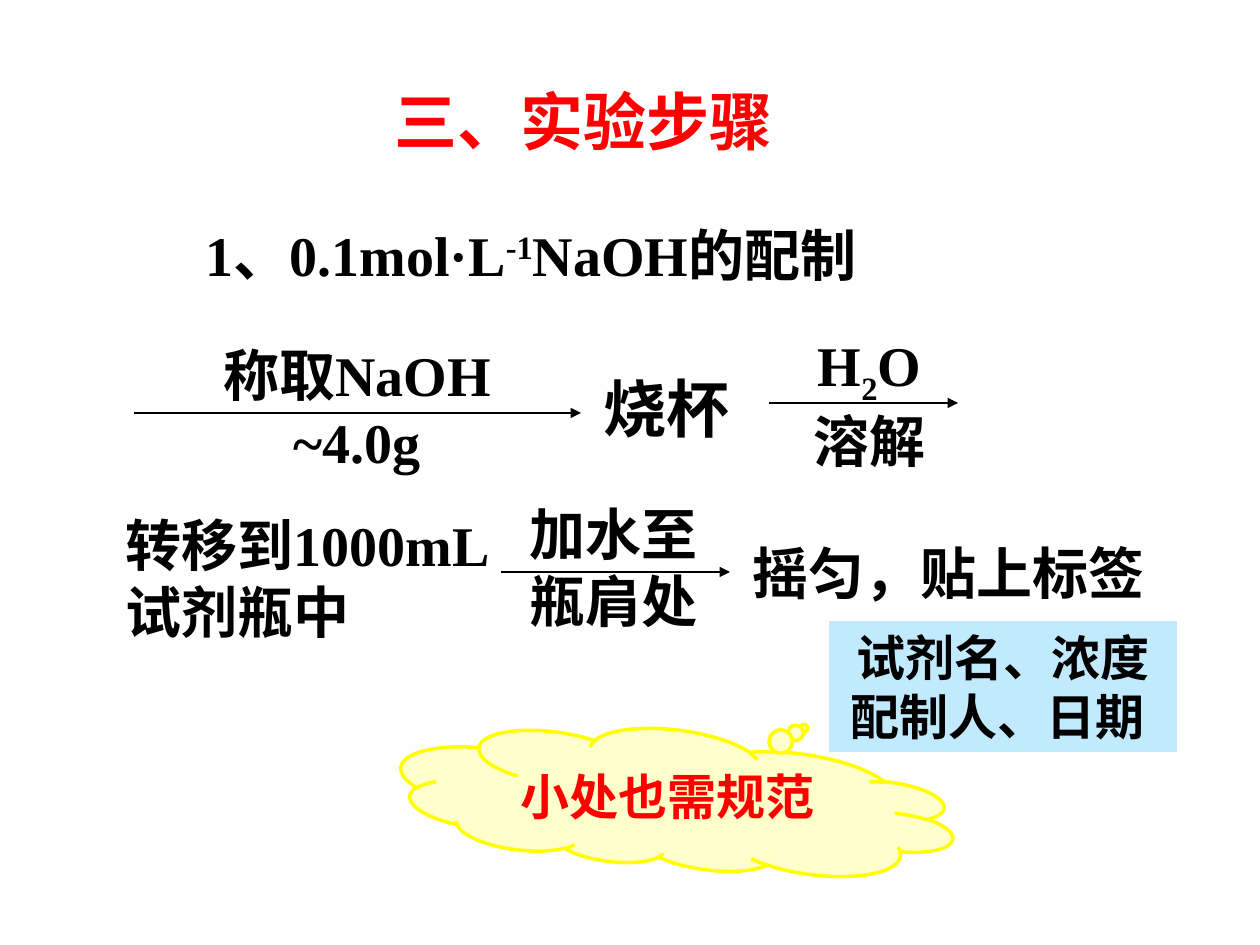
from lxml import etree
from pptx import Presentation
from pptx.dml.color import RGBColor
from pptx.enum.shapes import MSO_CONNECTOR, MSO_SHAPE
from pptx.enum.text import MSO_ANCHOR, PP_ALIGN
from pptx.oxml.ns import qn
from pptx.util import Emu, Pt

LEFT, CENTER = PP_ALIGN.LEFT, PP_ALIGN.CENTER
MIDDLE = MSO_ANCHOR.MIDDLE
RECTANGLE, CLOUD = MSO_SHAPE.RECTANGLE, MSO_SHAPE.CLOUD_CALLOUT
STRAIGHT = MSO_CONNECTOR.STRAIGHT
PX = 914400 / 126

THEME = {
    "black": RGBColor(0, 0, 0),
    "red": RGBColor(255, 0, 0),
    "label": RGBColor(0x66, 0xCC, 0xFF),
    "cloud": RGBColor(0xFF, 0xFF, 0xCC),
    "cloud_line": RGBColor(0xFF, 0xFF, 0),
    "serif": "Times New Roman",
    "sans": "Arial",
    "chinese": "Noto Sans CJK SC",
    "title": 36,
    "body": 32,
    "note": 28,
}


def px(*lengths):
    return [Emu(round(length * PX)) for length in lengths]


def write(shape, lines, size="body", font="serif", color="black", align=LEFT, wrap=True):
    """Each line is a list of (text, baseline shift in percent)."""
    frame = shape.text_frame
    frame.word_wrap = wrap
    for number, line in enumerate(lines):
        para = frame.add_paragraph() if number else frame.paragraphs[0]
        para.alignment = align
        para.font.name = THEME[font]
        para.font.size = Pt(THEME[size])
        para.font.bold = True
        para.font.color.rgb = THEME[color]
        for text, shift in line:
            span = para.add_run()
            span.text = text
            if shift:
                span._r.get_or_add_rPr().set("baseline", str(shift * 1000))


deck = Presentation()
deck.slide_width, deck.slide_height = px(1260, 945)
page = deck.slides.add_slide(deck.slide_layouts[6])
shapes = page.shapes

# Title, heading and the steps of the procedure
title = {"size": "title", "font": "chinese", "color": "red"}
centered = {"align": CENTER}
unwrapped = {"align": CENTER, "wrap": False}
steps = [
    ((382, 76, 446, 88), [[("三、实验步骤", 0)]], title),
    ((193, 214, 784, 81), [[("1、0.1mol·L", 0), ("-1", 30), ("NaOH的配制", 0)]], {}),
    ((152, 334, 410, 147), [[("称取NaOH", 0)], [("~4.0g", 0)]], centered),
    ((591, 363, 159, 88), [[("烧杯", 0)]], {"size": "title"}),
    ((801, 324, 137, 156), [[("H", 0), ("2", -25), ("O", 0)], [("溶解", 0)]], unwrapped),
    ((113, 504, 397, 214), [[("转移到1000mL", 0)], [("试剂瓶中", 0)]], {}),
    ((517, 493, 193, 147), [[("加水至", 0)], [("瓶肩处", 0)]], unwrapped),
    ((740, 532, 437, 81), [[("摇匀，贴上标签", 0)]], {}),
]
for place, lines, style in steps:
    write(shapes.add_textbox(*px(*place)), lines, **style)

# Arrows between the steps
for left, right, y, weight in [(134, 581, 413, 0.75), (769, 958, 403, 1.5), (501, 730, 572, 1.5)]:
    arrow = shapes.add_connector(STRAIGHT, *px(left, y, right, y))
    arrow.line.color.rgb = THEME["black"]
    arrow.line.width = Pt(weight)
    etree.SubElement(arrow.line._get_or_add_ln(), qn("a:tailEnd"), type="triangle")
    etree.SubElement(arrow._element.spPr, qn("a:effectLst"))

# What the label must show
label = shapes.add_shape(RECTANGLE, *px(829, 621, 348, 131))
label.shadow.inherit = False
label.fill.solid()
label.fill.fore_color.rgb = THEME["label"]
tint = label._element.spPr.find(qn("a:solidFill"))[0]
etree.SubElement(tint, qn("a:alpha"), val="40000")
label.line.fill.background()
label.text_frame.vertical_anchor = MIDDLE
write(label, [[("试剂名、浓度", 0)], [("配制人、日期 ", 0)]], "note", "sans", align=CENTER)

# Reminder in a cloud
cloud = shapes.add_shape(CLOUD, *px(399, 731, 556, 139))
cloud.shadow.inherit = False
cloud.rotation = 187.2
cloud.adjustments[0], cloud.adjustments[1] = -0.21, 0.63
cloud.fill.solid()
cloud.fill.fore_color.rgb = THEME["cloud"]
cloud.line.color.rgb = THEME["cloud_line"]
cloud.line.width = Pt(2)
reminder = shapes.add_textbox(*px(469, 760, 397, 72))
write(reminder, [[("小处也需规范", 0)]], "note", "chinese", "red", CENTER)

deck.save("out.pptx")
